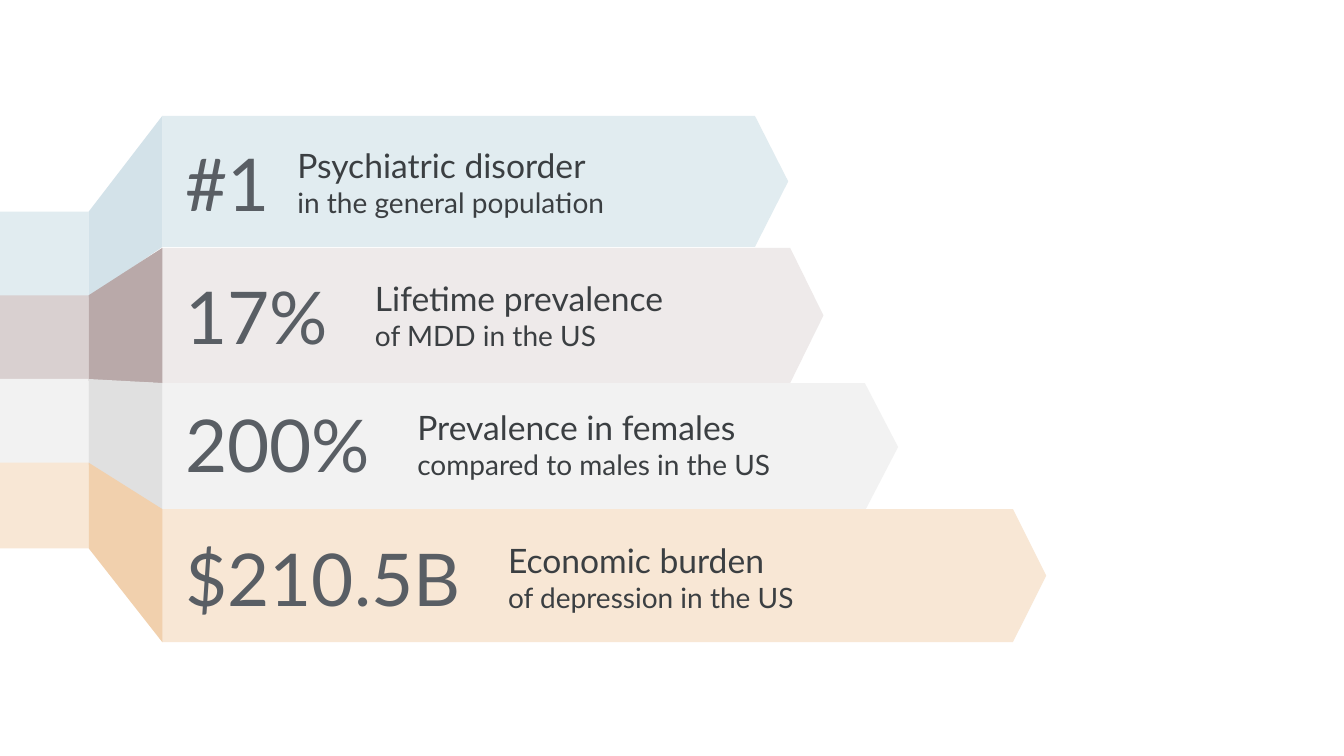
from dataclasses import dataclass

from pptx import Presentation
from pptx.dml.color import RGBColor
from pptx.enum.shapes import MSO_SHAPE
from pptx.enum.text import MSO_ANCHOR
from pptx.util import Inches, Pt

FONT = "Lato"
NUMBER_COLOR = RGBColor(0x59, 0x5E, 0x64)
CAPTION_COLOR = RGBColor(0x3B, 0x3F, 0x42)
ICE = RGBColor(0xE1, 0xEC, 0xF0)
ICE_DARK = RGBColor(0xD3, 0xE2, 0xE9)
MAUVE = RGBColor(0xEE, 0xEA, 0xEA)
MAUVE_MID = RGBColor(0xD9, 0xD0, 0xD0)
MAUVE_DARK = RGBColor(0xB9, 0xA9, 0xA9)
GRAY = RGBColor(0xF2, 0xF2, 0xF2)
GRAY_DARK = RGBColor(0xE0, 0xE0, 0xE0)
PEACH = RGBColor(0xF8, 0xE7, 0xD5)
PEACH_DARK = RGBColor(0xF1, 0xD0, 0xAD)

COLUMNS, ROWS = 80, 45
TAB_RIGHT, TAB_TOP, TAB_PITCH, TAB_HEIGHT = 5.28, 12.6, 4.98, 5.1
BAND_LEFT, POINT_LENGTH = 9.66, 1.98
NUMBER_LEFT, NUMBER_HEIGHT = 11.04, 5.46
CAPTION_WIDTH, CAPTION_HEIGHT = 25.44, 4.44


@dataclass
class Band:
    """One statistic with its arrow band, in columns and rows."""

    number: str
    headline: str
    detail: str
    top: float
    bottom: float
    width: float
    middle: float
    caption_left: float
    band_color: RGBColor
    tab_color: RGBColor
    fold_color: RGBColor


BANDS = [
    Band("#1", "Psychiatric disorder", "in the general population",
         6.9, 14.7, 37.26, 10.84, 17.7, ICE, ICE, ICE_DARK),
    Band("17%", "Lifetime prevalence", "of MDD in the US",
         14.76, 22.8, 39.36, 18.75, 22.32, MAUVE, MAUVE_MID, MAUVE_DARK),
    Band("200%", "Prevalence in females", "compared to males in the US",
         22.8, 30.42, 43.8, 26.41, 24.84, GRAY, GRAY, GRAY_DARK),
    Band("$210.5B", "Economic burden", "of depression in the US",
         30.3, 38.22, 52.62, 34.36, 30.24, PEACH, PEACH, PEACH_DARK),
]


def add_span(para, text, *, size, color, font=FONT):
    """Add formatted text to a paragraph."""
    span = para.add_run()
    span.text = text
    span.font.name = font
    span.font.size = Pt(size)
    span.font.color.rgb = color


class Canvas:
    """Draws elements on the current page using grid units."""

    def __init__(self, deck, page):
        """Keep the page and its grid cell size."""
        self.page = page
        self.column = deck.slide_width / COLUMNS
        self.row = deck.slide_height / ROWS

    def place(self, across, down):
        """Convert columns and rows to slide lengths."""
        return round(across * self.column), round(down * self.row)

    def paint(self, shape, color):
        """Give a shape a flat fill without outline or shadow."""
        shape.shadow.inherit = False
        shape.fill.solid()
        shape.fill.fore_color.rgb = color
        shape.line.fill.background()

    def block(self, kind, left, top, width, height, color):
        """Draw a preset shape."""
        shape = self.page.shapes.add_shape(
            kind, *self.place(left, top), *self.place(width, height))
        self.paint(shape, color)
        return shape

    def outline(self, corners, color):
        """Draw a closed polygon through the corners."""
        points = [self.place(*corner) for corner in corners]
        builder = self.page.shapes.build_freeform(*points[0])
        builder.add_line_segments(points[1:], close=True)
        self.paint(builder.convert_to_shape(), color)

    def text(self, left, middle, width, height, lines):
        """Write lines of (text, size, color) centred on a row."""
        box = self.page.shapes.add_textbox(
            *self.place(left, middle - height / 2), *self.place(width, height))
        frame = box.text_frame
        frame.word_wrap = True
        frame.vertical_anchor = MSO_ANCHOR.MIDDLE
        frame.margin_left = frame.margin_right = 0
        frame.margin_top = frame.margin_bottom = 0
        for index, (text, size, color) in enumerate(lines):
            para = frame.add_paragraph() if index else frame.paragraphs[0]
            add_span(para, text, size=size, color=color)


def main():
    """Build the deck of depression statistics."""
    deck = Presentation()
    deck.slide_width, deck.slide_height = Inches(13.33), Inches(7.5)
    canvas = Canvas(deck, deck.slides.add_slide(deck.slide_layouts[6]))

    for index, band in enumerate(BANDS):
        height = band.bottom - band.top
        arrow = canvas.block(MSO_SHAPE.PENTAGON, BAND_LEFT, band.top,
                             band.width, height, band.band_color)
        arrow.adjustments[0] = POINT_LENGTH / height
        tab_top = TAB_TOP + index * TAB_PITCH
        canvas.block(MSO_SHAPE.RECTANGLE, 0, tab_top, TAB_RIGHT, TAB_HEIGHT,
                     band.tab_color)
        canvas.outline([(BAND_LEFT, band.top), (BAND_LEFT, band.bottom),
                        (TAB_RIGHT, tab_top + TAB_HEIGHT),
                        (TAB_RIGHT, tab_top)], band.fold_color)

    for band in BANDS:
        canvas.text(NUMBER_LEFT, band.middle, band.caption_left - NUMBER_LEFT,
                    NUMBER_HEIGHT, [(band.number, 52, NUMBER_COLOR)])
        canvas.text(band.caption_left, band.middle, CAPTION_WIDTH,
                    CAPTION_HEIGHT, [(band.headline, 24, CAPTION_COLOR),
                                     (band.detail, 20, CAPTION_COLOR)])

    deck.save("out.pptx")


if __name__ == "__main__":
    main()
